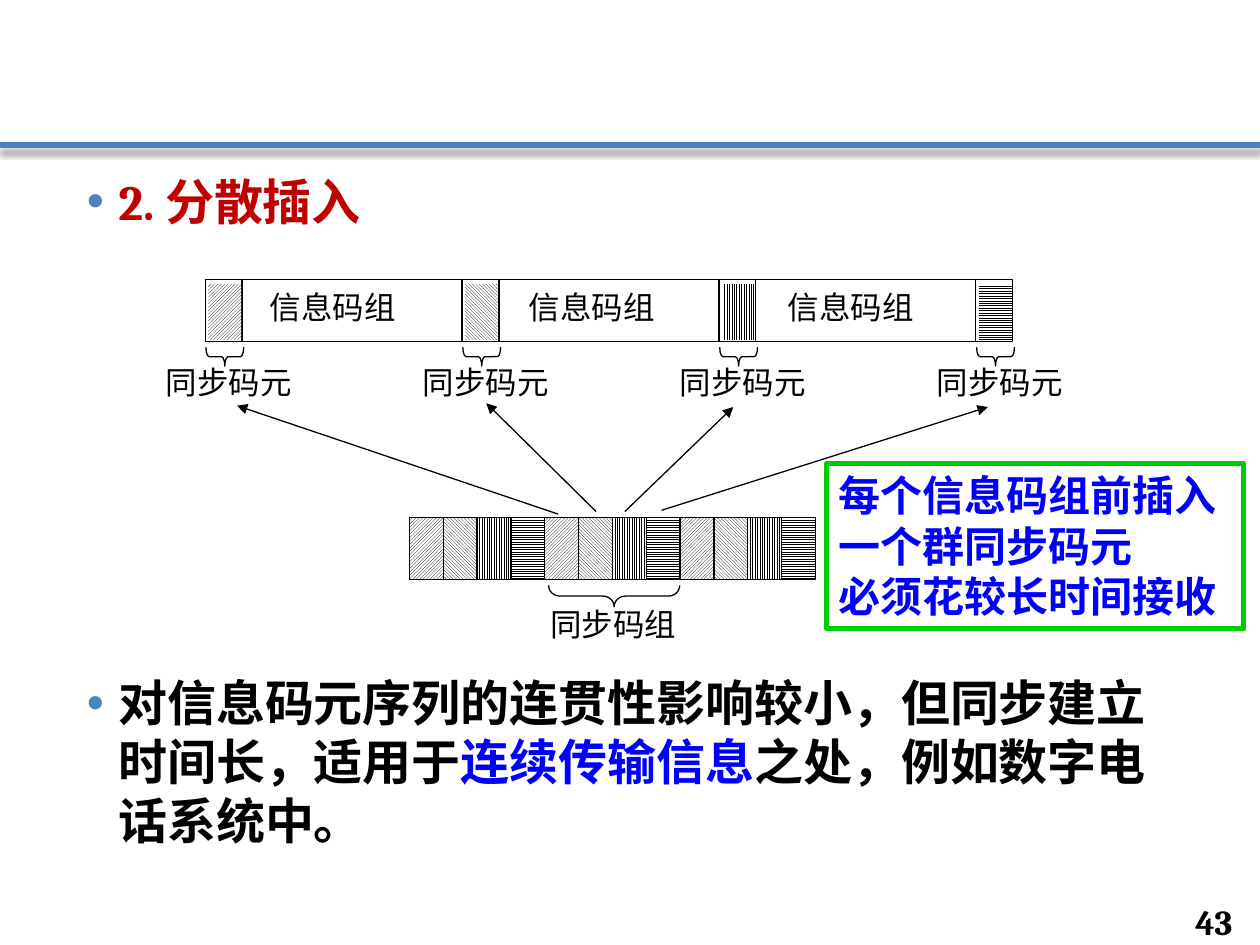
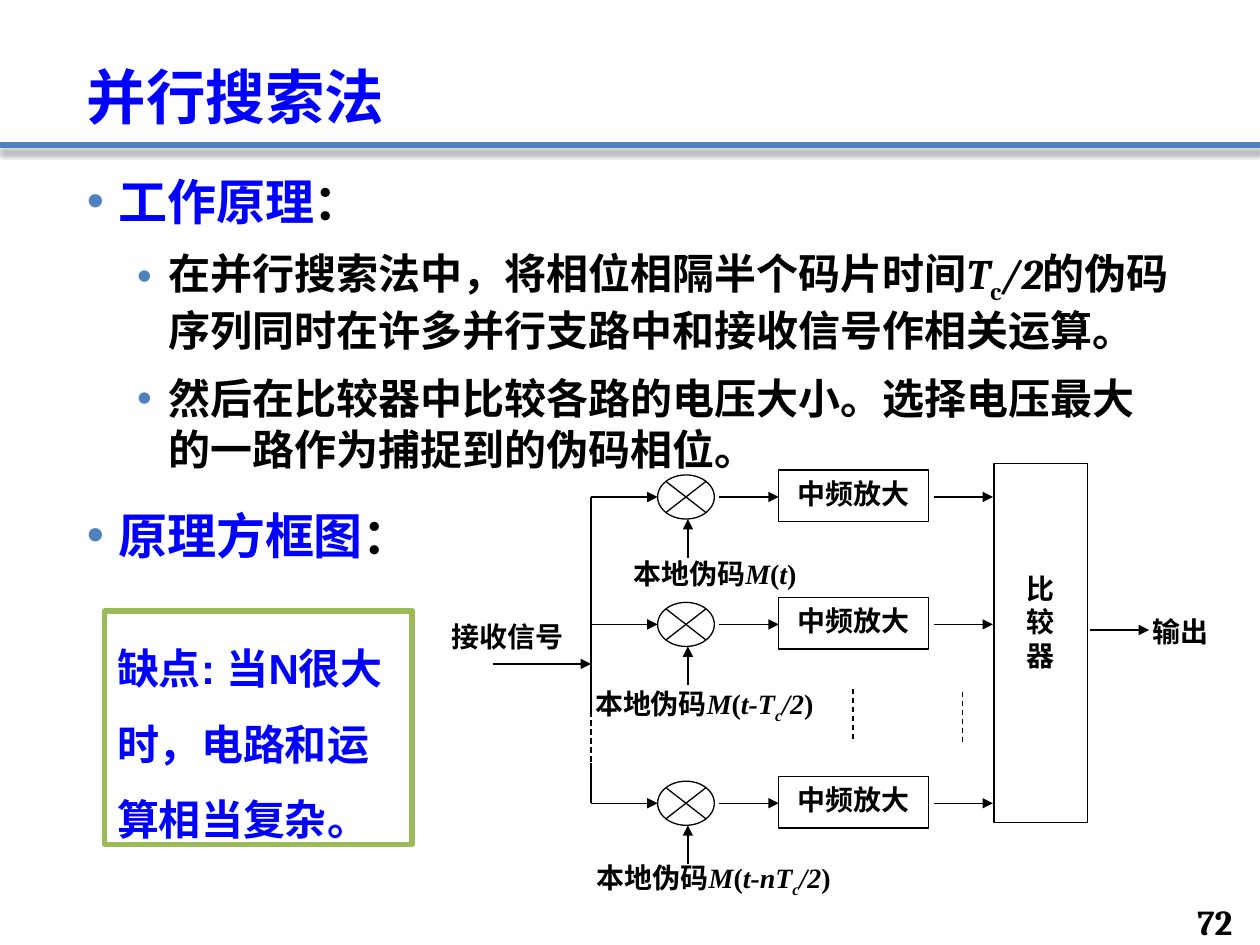
from itertools import cycle, islice

from lxml import etree
from pptx import Presentation
from pptx.dml.color import RGBColor
from pptx.enum import dml, shapes, text
from pptx.oxml import ns
from pptx.util import Pt

COLORS = {"black": "000000", "white": "FFFFFF", "blue": "0000FF", "red": "C00000",
          "rule": "4F81BD", "green": "00CC00", "olive": "9BBB59"}
STYLES = {
    "title": {"name": "Cambria", "size": Pt(34), "bold": True},
    "bullet": {"name": "Cambria", "size": Pt(28), "bold": True},
    "sub": {"name": "Cambria", "size": Pt(24), "bold": True},
    "number": {"name": "Cambria", "size": Pt(20), "bold": True},
    "callout": {"name": "Arial", "size": Pt(24), "bold": True},
    "frame": {"name": "Times New Roman", "size": Pt(18)},
    "block": {"name": "Times New Roman", "size": Pt(16), "bold": True},
}
LEVELS = {"bullet": (18, 18), "sub": (46.8, 10)}
ALIGN = text.PP_ALIGN
SHAPE = shapes.MSO_SHAPE
PATTERN = dml.MSO_PATTERN
SYNC_PATTERNS = (PATTERN.LIGHT_UPWARD_DIAGONAL, PATTERN.LIGHT_DOWNWARD_DIAGONAL,
                 PATTERN.LIGHT_VERTICAL, PATTERN.LIGHT_HORIZONTAL)
BODY = (42.5, 94.3, 635, 396.7)
INSETS = (7.2, 3.6, 7.2, 3.6)
NO_INSETS = (0, 0, 0, 0)
ITALIC = {"italic": True}
SUBSCRIPT = {"italic": True, "baseline": "-25000"}


def rgb(name):
    return RGBColor.from_string(COLORS[name])


def add_run(p, words, style, color="black", extra=None):
    r = p.add_run()
    r.text = words
    r.font.color.rgb = rgb(color)
    for key, value in {**STYLES[style], **(extra or {})}.items():
        if key == "baseline":
            r.font._element.set(key, value)
        else:
            setattr(r.font, key, value)


def setup_frame(sp, insets=INSETS, anchor=text.MSO_ANCHOR.TOP):
    tf = sp.text_frame
    margins = zip(("left", "top", "right", "bottom"), insets)
    values = {f"margin_{side}": Pt(inset) for side, inset in margins}
    for key, value in {**values, "word_wrap": True, "vertical_anchor": anchor}.items():
        setattr(tf, key, value)
    return tf


def fill_text(sp, paras, style, align=ALIGN.LEFT, spacing=None, **frame):
    tf = setup_frame(sp, **frame)
    for i, runs in enumerate(paras):
        p = tf.add_paragraph() if i else tf.paragraphs[0]
        p.alignment = align
        if spacing:
            p.line_spacing = spacing
        for run in runs:
            add_run(p, run[0], style, *run[1:])


def add_text(s, box, paras, style, **options):
    sp = s.shapes.add_textbox(*map(Pt, box))
    fill_text(sp, paras, style, **options)


def add_bullets(s, items):
    tf = setup_frame(s.shapes.add_textbox(*map(Pt, BODY)))
    for i, (style, gap, runs) in enumerate(items):
        p = tf.add_paragraph() if i else tf.paragraphs[0]
        indent, before = LEVELS[style]
        pPr = p._p.get_or_add_pPr()
        pPr.set("marL", str(Pt(indent)))
        pPr.set("indent", str(Pt(-18)))
        clr = etree.SubElement(pPr, ns.qn("a:buClr"))
        etree.SubElement(clr, ns.qn("a:srgbClr"), val=COLORS["rule"])
        etree.SubElement(pPr, ns.qn("a:buFont"), typeface="Arial")
        etree.SubElement(pPr, ns.qn("a:buChar"), char="•")
        if i:
            p.space_before = Pt(gap or before)
        for run in runs:
            add_run(p, run[0], style, *run[1:])


def add_shape(s, kind, box, fill=None, line="black", width=0.75):
    sp = s.shapes.add_shape(kind, *map(Pt, box))
    sp.shadow.inherit = False
    if fill:
        sp.fill.solid()
        sp.fill.fore_color.rgb = rgb(fill)
    else:
        sp.fill.background()
    if line:
        sp.line.color.rgb = rgb(line)
        sp.line.width = Pt(width)
    else:
        sp.line.fill.background()
    return sp


def add_hatched(s, box, pattern, line=None):
    sp = add_shape(s, SHAPE.RECTANGLE, box, line=line)
    sp.fill.patterned()
    sp.fill.pattern = pattern
    sp.fill.fore_color.rgb = rgb("black")
    sp.fill.back_color.rgb = rgb("white")


def add_brace(s, cx, cy, span, depth, curl):
    sp = add_shape(s, SHAPE.LEFT_BRACE, (cx - depth / 2, cy - span / 2, depth, span))
    sp.rotation = 270
    sp.adjustments[0] = curl


def add_line(s, start, end, arrow=False, dashed=False, color="black", width=0.75):
    ln = s.shapes.add_connector(shapes.MSO_CONNECTOR.STRAIGHT, *map(Pt, start + end))
    ln.line.color.rgb = rgb(color)
    ln.line.width = Pt(width)
    if dashed:
        ln.line.dash_style = dml.MSO_LINE.DASH
    if arrow:
        etree.SubElement(ln.line._get_or_add_ln(), ns.qn("a:tailEnd"), type="triangle")
    return etree.SubElement(ln._element.spPr, ns.qn("a:effectLst"))


def add_callout(s, box, line, paras, spacing=None):
    sp = add_shape(s, SHAPE.RECTANGLE, box, "white", line, 3)
    fill_text(sp, [[(words, "blue")] for words in paras], "callout", spacing=spacing)


def add_base(prs, number, title=None):
    s = prs.slides.add_slide(prs.slide_layouts[6])
    effects = add_line(s, (0, 82.8), (720, 82.8), color="rule", width=3)
    shadow = etree.SubElement(effects, ns.qn("a:outerShdw"), blurRad=str(Pt(4)),
                              dist=str(Pt(3)), dir="5400000", rotWithShape="0")
    clr = etree.SubElement(shadow, ns.qn("a:srgbClr"), val=COLORS["black"])
    etree.SubElement(clr, ns.qn("a:alpha"), val="43000")
    add_text(s, (661.7, 516.2, 49.7, 20.2), [[(number,)]], "number",
             align=ALIGN.RIGHT, anchor=text.MSO_ANCHOR.MIDDLE)
    if title:
        add_text(s, (42.5, 15.1, 635, 64.1), [[(title, "blue")]], "title",
                 spacing=0.9, anchor=text.MSO_ANCHOR.BOTTOM)
    return s


def add_frame_diagram(s):
    step, cell = 146.8, 19.33
    for i in range(3):
        add_text(s, (147 + 148 * i, 161, 105, 33.8), [[("信息码组",)]], "frame",
                 align=ALIGN.JUSTIFY)
        add_shape(s, SHAPE.FLOWCHART_PREDEFINED_PROCESS,
                  (117.4 + step * i, 159.8, 167.5, 35.3))
    for i, pattern in enumerate(SYNC_PATTERNS):
        x = step * i
        add_hatched(s, (119 + x, 162.2, 18.8, 32), pattern)
        add_brace(s, 128.5 + x, 203.8, 21.6, 10.8, 0.169)
        add_text(s, (87.8 + x, 204, 105, 33.8), [[("同步码元",)]], "frame",
                 align=ALIGN.JUSTIFY)
    for i, pattern in enumerate(islice(cycle(SYNC_PATTERNS), 12)):
        add_hatched(s, (234 + cell * i, 295.9, cell, 35.3), pattern, "black")
    add_brace(s, 351, 340.6, 74.9, 12.2, 0.523)
    add_text(s, (307.4, 342, 95.8, 33.8), [[("同步码组",)]], "frame",
             align=ALIGN.JUSTIFY)
    for start, end in (((319, 293.8), (135.4, 231.8)), ((340.6, 292.3), (277.9, 230.4)),
                       ((357.1, 292.3), (419, 232.6)), ((378, 291.6), (564.5, 232.6))):
        add_line(s, start, end, arrow=True)


def add_branch(s, y, code_box, phase):
    add_line(s, (393.1, y + 34.6), (393.1, y + 12.6), arrow=True)
    add_shape(s, SHAPE.FLOWCHART_SUMMING_JUNCTION, (375.8, y - 12.6, 32.4, 25.2), "white")
    amp = add_shape(s, SHAPE.RECTANGLE, (445, y - 15.4, 85.7, 29.5), "white")
    fill_text(amp, [[("中频放大",)]], "block", align=ALIGN.CENTER)
    for x1, x2 in ((337.7, 375.8), (411.1, 445), (533.5, 567.4)):
        add_line(s, (x1, y), (x2, y), arrow=True)
    runs = [("本地伪码",), ("M", "black", ITALIC), ("(",), *phase, (")",)]
    add_text(s, code_box, [runs], "block", align=ALIGN.CENTER, insets=NO_INSETS)


def add_search_diagram(s):
    comparator = add_shape(s, SHAPE.RECTANGLE, (568, 265, 53.3, 205.2), "white")
    fill_text(comparator, [[(c,)] for c in "比较器"], "block", align=ALIGN.CENTER,
              insets=(7.2, 61.5, 7.2, 3.6))
    for words, box in (("接收信号", (247, 354.2, 85.7, 22.3)),
                       ("输出", (646.6, 351.4, 56.2, 22.3))):
        add_text(s, box, [[(words,)]], "block", align=ALIGN.CENTER, insets=NO_INSETS)
    half = [("c", "black", SUBSCRIPT), ("/2", "black", ITALIC)]
    for y, code_box, phase in (
            (284, (345.6, 318.2, 126, 22.3), [("t", "black", ITALIC)]),
            (356.8, (325.4, 392.4, 154, 22.3), [("t-T", "black", ITALIC)] + half),
            (459, (322.6, 491.8, 170.6, 22.3), [("t-nT", "black", ITALIC)] + half)):
        add_branch(s, y, code_box, phase)
    for x, top, bottom, dashed in ((337.7, 284, 406.5, False), (337.7, 406.5, 436.3, True),
                                   (337.7, 436.3, 459, False), (487.4, 393.8, 424, True),
                                   (550, 395.2, 424.8, True)):
        add_line(s, (x, top), (x, bottom), dashed=dashed)
    add_line(s, (281.5, 379.4), (337.7, 379.4), arrow=True)
    add_line(s, (622.8, 360), (656.6, 360), arrow=True)


def main():
    prs = Presentation()
    prs.slide_width, prs.slide_height = Pt(720), Pt(540)

    s = add_base(prs, "43")
    add_bullets(s, [
        ("bullet", None, [("2. 分散插入", "red")]),
        ("bullet", 253, [("对信息码元序列的连贯性影响较小，但同步建立时间长，适用于",),
                         ("连续传输信息", "blue"),
                         ("之处，例如数字电话系统中。",)]),
    ])
    add_frame_diagram(s)
    add_callout(s, (472.3, 265, 238.3, 94.3), "green",
                ["每个信息码组前插入一个群同步码元", "必须花较长时间接收"])

    s = add_base(prs, "72", "并行搜索法")
    add_bullets(s, [
        ("bullet", None, [("工作原理", "blue"), ("：",)]),
        ("sub", None, [("在并行搜索法中，将相位相隔半个码片时间",),
                       ("T", "black", ITALIC),
                       ("c", "black", {"baseline": "-25000"}),
                       ("/2", "black", ITALIC),
                       ("的伪码序列同时在许多并行支路中和接收信号作相关运算。",)]),
        ("sub", None, [("然后在比较器中比较各路的电压大小。选择电压最大的一路作为捕捉到的伪码相位。",)]),
        ("bullet", None, [("原理方框图", "blue"), ("：",)]),
    ])
    add_search_diagram(s)
    add_callout(s, (59.8, 349.2, 175.7, 133.2), "olive",
                ["缺点: 当N很大时，电路和运算相当复杂。"], spacing=1.5)

    prs.save("out.pptx")


if __name__ == "__main__":
    main()
